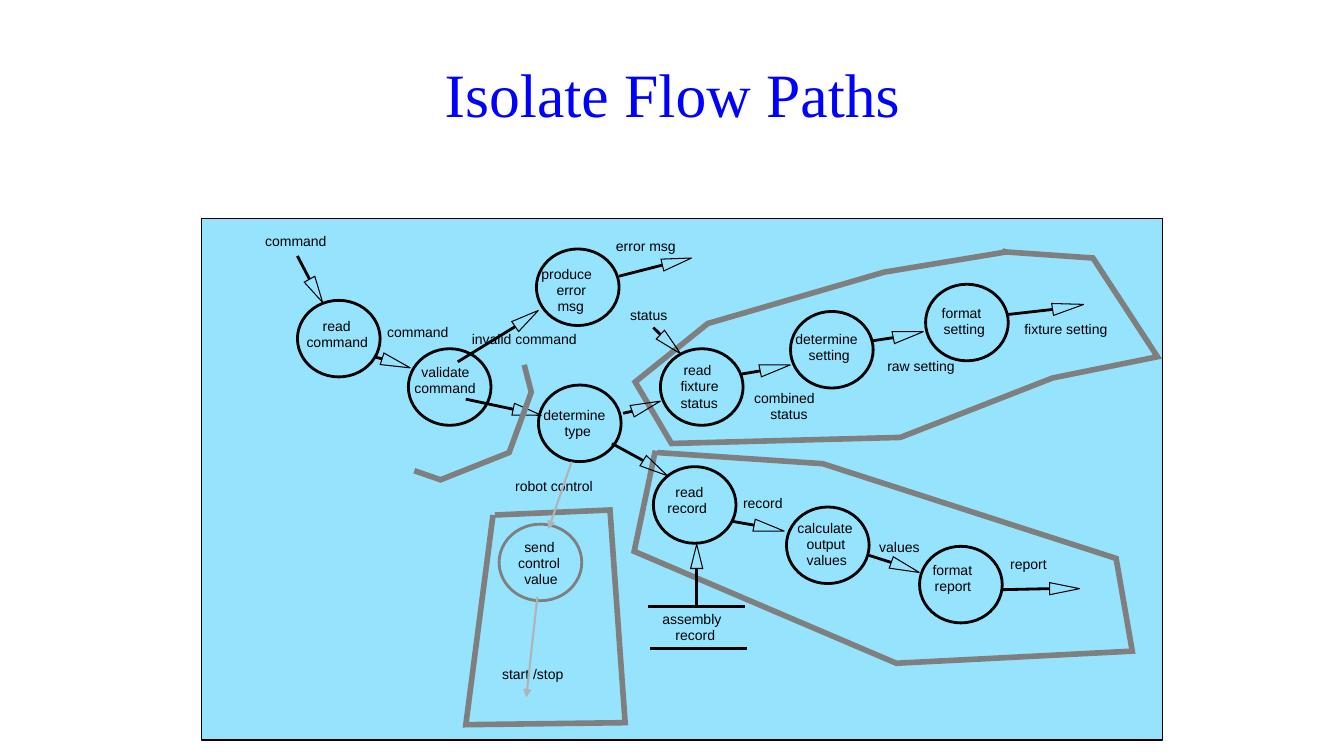
import math

import lxml.etree
import pptx
import pptx.dml.color
import pptx.enum.shapes
import pptx.enum.text
import pptx.oxml.ns
import pptx.util

COLORS = {"title": "0000FF", "panel": "96E3FE", "ink": "000000",
          "boundary": "7F7F7F", "control": "B2B2B2"}

# All places are in units of one inch.
UNIT_CM = 2.54
BUBBLE_WIDTH, BUBBLE_HEIGHT = 0.82, 0.76
LINE_PITCH, LINE_HEIGHT = 0.16, 0.17
LABEL_SLACK = 0.04  # keeps each label on one line
HEAD_HALF_WIDTH = 0.06

TITLE = "Isolate Flow Paths"
PANEL = (2, 2.17, 9.53, 5.17)

# left, top, colour
BUBBLES = [
    (2.95, 2.98, "ink"), (5.32, 2.47, "ink"), (5.34, 3.82, "ink"),
    (6.55, 3.46, "ink"), (7.84, 3.09, "ink"), (9.18, 2.82, "ink"),
    (6.48, 4.63, "ink"), (7.8, 5.03, "ink"), (9.12, 5.42, "ink"),
    (4.05, 3.46, "ink"), (4.95, 5.2, "boundary"),
]

STORE_LINES = [((6.43, 6.02), (7.39, 6.02)), ((6.45, 6.43), (7.41, 6.43))]

# start of the shaft, base of the head, tip of the head
FLOWS = [
    ((2.95, 2.54), (3.07, 2.77), (3.2, 3)),
    ((3.71, 3.54), (3.79, 3.56), (4.07, 3.65)),
    ((4.54, 3.59), (5.11, 3.24), (5.34, 3.08)),
    ((6.14, 2.74), (6.57, 2.63), (6.86, 2.56)),
    ((4.62, 3.96), (5.09, 4.06), (5.37, 4.12)),
    ((7.36, 3.71), (7.54, 3.68), (7.84, 3.62)),
    ((8.66, 3.38), (8.86, 3.35), (9.16, 3.29)),
    ((10, 3.12), (10.44, 3.07), (10.75, 3.02)),
    ((7.25, 5.17), (7.48, 5.21), (7.78, 5.27)),
    ((8.62, 5.51), (8.84, 5.58), (9.12, 5.68)),
    ((9.94, 5.85), (10.41, 5.84), (10.71, 5.84)),
]
FLOWS_ACROSS_BOUNDARIES = [
    ((6.48, 3.25), (6.55, 3.32), (6.75, 3.51)),
    ((6.18, 4.1), (6.27, 4.08), (6.55, 3.98)),
    ((6.07, 4.4), (6.38, 4.57), (6.62, 4.72)),
    ((6.91, 6.01), (6.91, 5.64), (6.91, 5.4)),
]
CONTROL_FLOWS = [((5.67, 4.58), (5.44, 5.25)), ((5.33, 5.92), (5.22, 6.92))]

# top of the first line, then left, width and wording of each line
LABELS = [
    (3.15, [(3.2, 0.36, "read"), (3.04, 0.65, "command")]),
    (2.63, [(5.37, 0.58, "produce"), (5.52, 0.34, "error"), (5.53, 0.26, "msg")]),
    (3.61, [(4.18, 0.52, "validate"), (4.11, 0.61, "command")]),
    (4.03, [(5.39, 0.66, "determine"), (5.6, 0.26, "type")]),
    (3.59, [(6.78, 0.36, "read"), (6.75, 0.42, "fixture"), (6.75, 0.37, "status")]),
    (3.28, [(7.89, 0.66, "determine"), (8.02, 0.41, "setting")]),
    (3.02, [(9.34, 0.47, "format"), (9.36, 0.41, "setting")]),
    (4.8, [(6.7, 0.32, "read"), (6.62, 0.4, "record")]),
    (5.15, [(7.91, 0.59, "calculate"), (8, 0.42, "output"), (8, 0.4, "values")]),
    (5.57, [(9.25, 0.43, "format"), (9.27, 0.36, "report")]),
    (5.51, [(10.02, 0.36, "report")]),
    (5.34, [(8.72, 0.4, "values")]),
    (4.91, [(7.37, 0.4, "record")]),
    (6.06, [(6.57, 0.63, "assembly"), (6.7, 0.4, "record")]),
    (2.31, [(2.63, 0.61, "command")]),
    (3.21, [(3.84, 0.61, "command")]),
    (3.28, [(4.68, 1.05, "invalid command")]),
    (3.04, [(6.25, 0.37, "status")]),
    (2.36, [(6.11, 0.6, "error msg")]),
    (4.74, [(5.11, 0.78, "robot control")]),
    (5.34, [(5.2, 0.38, "send"), (5.14, 0.46, "control"), (5.2, 0.33, "value")]),
    (6.6, [(4.98, 0.61, "start /stop")]),
    (3.86, [(7.48, 0.68, "combined"), (7.64, 0.37, "status")]),
    (3.55, [(8.8, 0.68, "raw setting")]),
    (3.18, [(10.16, 0.83, "fixture setting")]),
]

# corner points, closed or open
BOUNDARIES = [
    ([(5.2, 3.62), (5.27, 3.89), (5.05, 4.49), (4.37, 4.76), (4.11, 4.67)], False),
    ([(9.98, 2.5), (8.77, 2.7), (7.02, 3.21), (6.3, 3.79), (6.66, 4.4), (8.93, 4.34),
      (10.44, 3.75), (11.48, 3.54), (10.84, 2.56)], True),
    ([(9.94, 2.5), (9.96, 2.5), (9.94, 2.48), (9.96, 2.5)], True),
    ([(6.52, 4.49), (8.16, 4.6), (11.07, 5.54), (11.23, 6.46), (8.89, 6.58),
      (6.29, 5.47), (6.5, 4.47)], False),
    ([(4.91, 5.11), (6.05, 5.06), (6.2, 7.17), (4.62, 7.19), (4.89, 5.11)], False),
]


def lengths(*values):
    return [pptx.util.Cm(value * UNIT_CM) for value in values]


def color(name):
    return pptx.dml.color.RGBColor.from_string(COLORS[name])


def add_child(parent, tag, **attributes):
    lxml.etree.SubElement(parent, pptx.oxml.ns.qn(tag), attributes)


def set_line(shape, color_name, points):
    shape.line.color.rgb = color(color_name)
    shape.line.width = pptx.util.Pt(points)


def add_preset(shapes, kind, box, color_name, points):
    shape = shapes.add_shape(kind, *lengths(*box))
    shape.shadow.inherit = False
    shape.fill.background()
    set_line(shape, color_name, points)
    return shape


def add_line(shapes, start, end, color_name="ink", points=2):
    line = shapes.add_connector(pptx.enum.shapes.MSO_CONNECTOR.STRAIGHT,
                                *lengths(*start, *end))
    set_line(line, color_name, points)
    add_child(line._element.spPr, "a:effectLst")
    return line


def add_outline(shapes, corners, closed, color_name, points):
    first, *others = [lengths(*corner) for corner in corners]
    builder = shapes.build_freeform(*first, scale=1.0)
    builder.add_line_segments(others, close=closed)
    shape = builder.convert_to_shape()
    shape.shadow.inherit = False
    shape.fill.background()
    set_line(shape, color_name, points)
    add_child(shape.line._get_or_add_ln(), "a:miter", lim="800000")


def add_flow(shapes, start, base, tip):
    """Draw a shaft with a long hollow triangle set square to its axis."""
    dx, dy = tip[0] - base[0], tip[1] - base[1]
    scale = HEAD_HALF_WIDTH / math.hypot(dx, dy)
    across, down = -dy * scale, dx * scale
    wings = [(base[0] + side * across, base[1] + side * down) for side in (1, -1)]
    add_outline(shapes, [tip, *wings], True, "ink", 0.75)
    add_line(shapes, start, base)


def add_text(shapes, box, text, font_name, size, color_name):
    frame = shapes.add_textbox(*lengths(*box)).text_frame
    frame.text = text
    font = frame.paragraphs[0].runs[0].font
    font.name, font.size = font_name, pptx.util.Pt(size)
    font.color.rgb = color(color_name)
    return frame


def add_label(shapes, left, top, width, text):
    box = (left, top, width + LABEL_SLACK, LINE_HEIGHT)
    frame = add_text(shapes, box, text, "Arial", 10, "ink")
    frame.margin_left = frame.margin_right = frame.margin_top = frame.margin_bottom = 0
    frame.word_wrap = False
    frame.auto_size = pptx.enum.text.MSO_AUTO_SIZE.SHAPE_TO_FIT_TEXT


def main():
    presentation = pptx.Presentation()
    presentation.slide_width, presentation.slide_height = lengths(13.33, 7.5)
    slide = presentation.slides.add_slide(presentation.slide_layouts[6])

    title = add_text(slide.shapes, (0.67, 0.3, 12, 1.25), TITLE, "Times New Roman", 44, "title")
    title.word_wrap = True
    title.vertical_anchor = pptx.enum.text.MSO_ANCHOR.MIDDLE
    title.paragraphs[0].alignment = pptx.enum.text.PP_ALIGN.CENTER

    diagram = slide.shapes.add_group_shape().shapes
    presets = pptx.enum.shapes.MSO_SHAPE
    panel = add_preset(diagram, presets.RECTANGLE, PANEL, "ink", 1)
    panel.fill.solid()
    panel.fill.fore_color.rgb = color("panel")
    for left, top, color_name in BUBBLES:
        add_preset(diagram, presets.OVAL, (left, top, BUBBLE_WIDTH, BUBBLE_HEIGHT), color_name, 2)
    for start, end in STORE_LINES:
        add_line(diagram, start, end)
    for flow in FLOWS:
        add_flow(diagram, *flow)
    for top, lines in LABELS:
        for row, (left, width, text) in enumerate(lines):
            add_label(diagram, left, top + row * LINE_PITCH, width, text)
    for corners, closed in BOUNDARIES:
        add_outline(diagram, corners, closed, "boundary", 4)
    for flow in FLOWS_ACROSS_BOUNDARIES:
        add_flow(diagram, *flow)

    for start, end in CONTROL_FLOWS:
        line = add_line(slide.shapes, start, end, "control", 1.5)
        add_child(line.line._get_or_add_ln(), "a:tailEnd", type="triangle")

    presentation.save("out.pptx")


if __name__ == "__main__":
    main()
